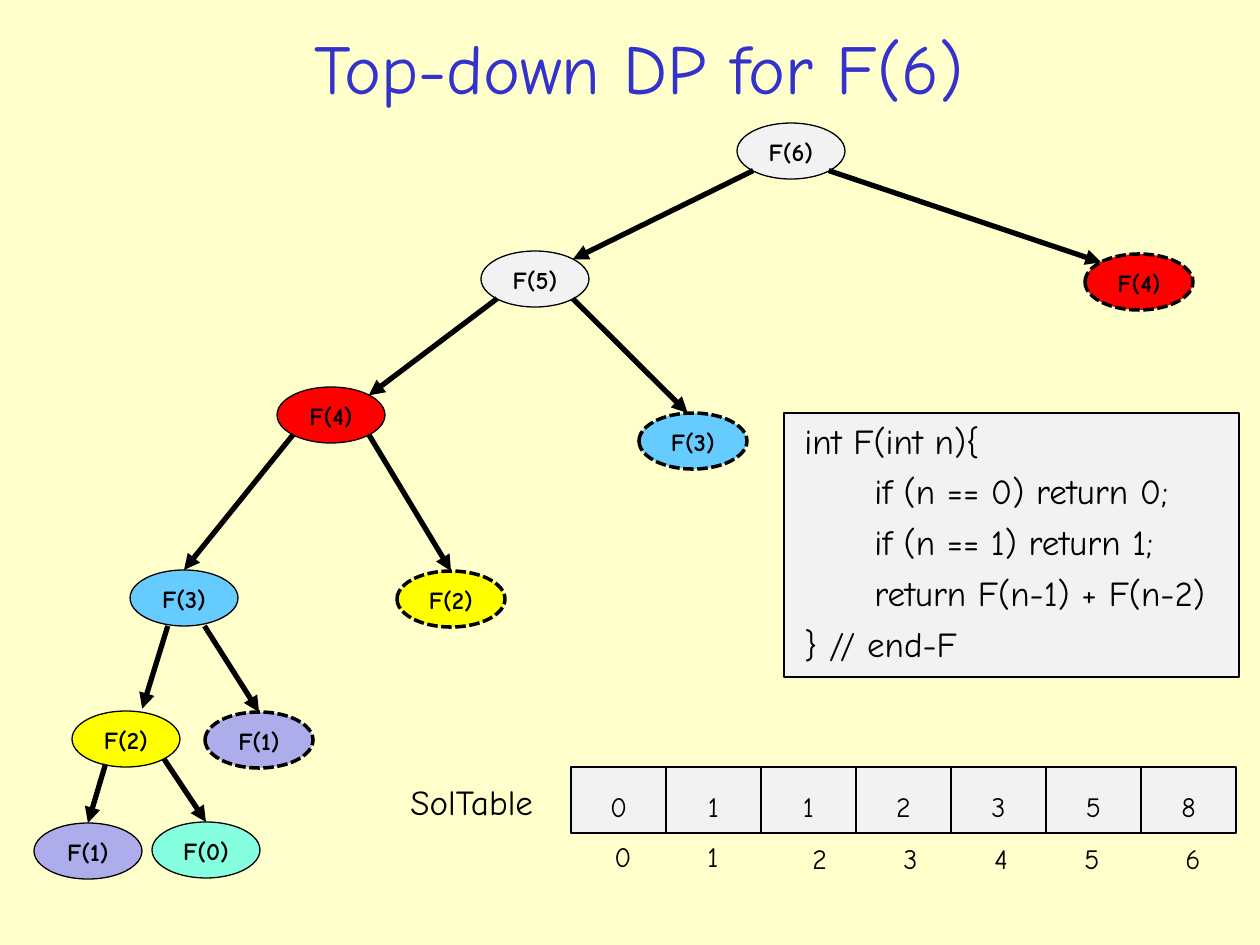
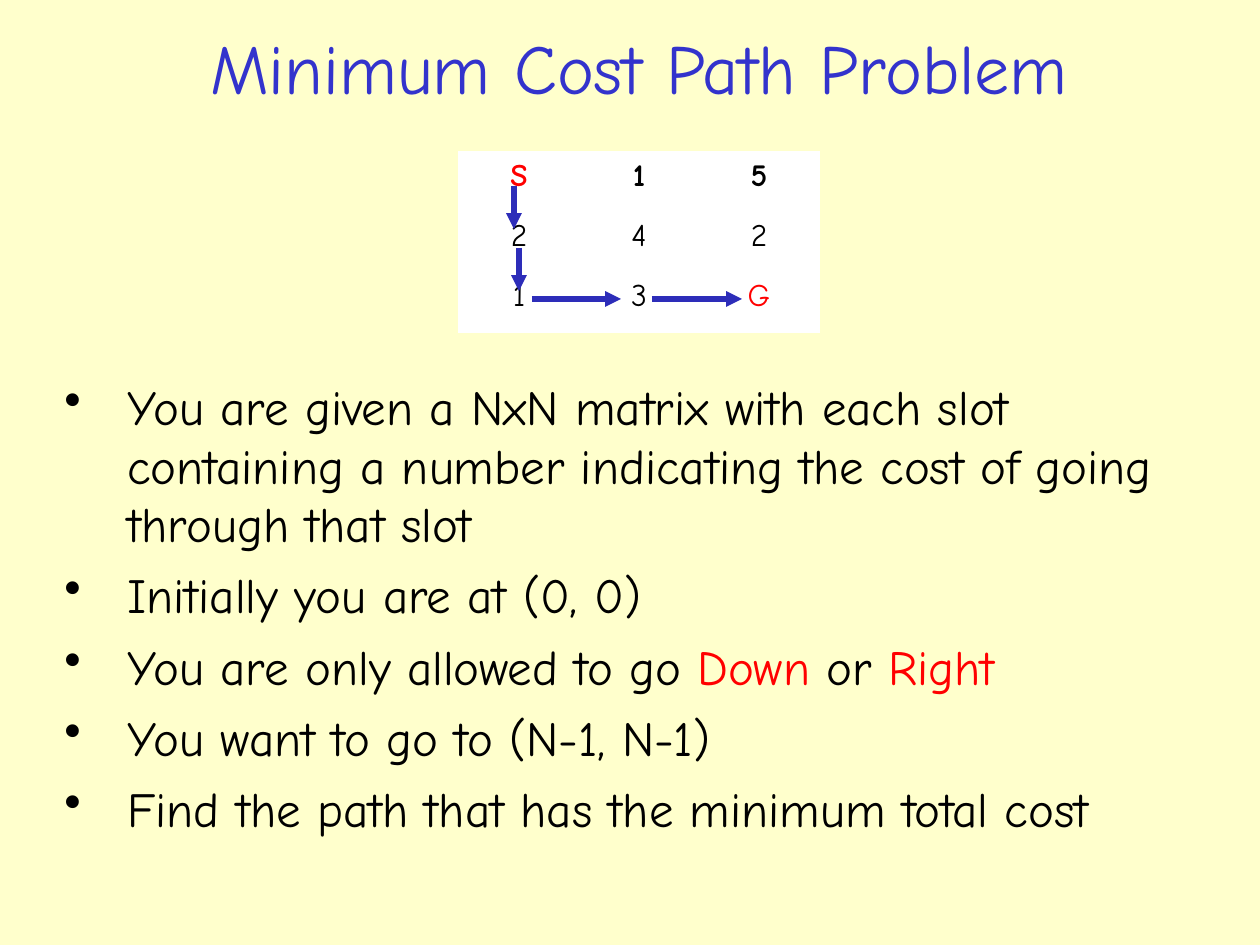
import pptx
import pptx.util
import pptx.dml.color
import pptx.enum.dml
import pptx.enum.shapes
import pptx.enum.text
import pptx.oxml
import pptx.oxml.ns
from lxml import etree

SCALE = 914400 / 126  # EMU in one pixel
FONT = "Comic Neue"
INK = {
    "page": "FFFFCC", "title": "3333CC", "text": "000000", "white": "FFFFFF",
    "gray": "F2F2F2", "red": "FF0000", "blue": "66CCFF", "gold": "FFFF00",
    "mauve": "ADADEB", "mint": "85FFE0", "path": "2D2DB9",
}
ALIGN = pptx.enum.text.PP_ALIGN
SHAPE = pptx.enum.shapes.MSO_SHAPE
ANCHOR = pptx.enum.text.MSO_ANCHOR
FIT = pptx.enum.text.MSO_AUTO_SIZE


def px(*vals):
    """Turn pixels into a list of EMU lengths."""
    return [pptx.util.Emu(round(v * SCALE)) for v in vals]


def hue(name):
    """Give the colour object of a named ink."""
    return pptx.dml.color.RGBColor.from_string(INK[name])


def tag(parent, name, **attrs):
    """Append a drawing element and return it."""
    node = etree.SubElement(parent, pptx.oxml.ns.qn("a:" + name))
    for key, val in attrs.items():
        node.set(key, val)
    return node


def write(frame, paras, size=16, ink="text", bold=False, align=ALIGN.LEFT,
          space=None, before=None, left=(0,), hang=0, bullet=False):
    """Fill a frame; a paragraph is a string or a list of (text, ink) runs.

    The left margins apply by paragraph, and the last one repeats.
    """
    for i, runs in enumerate(paras):
        para = frame.paragraphs[0] if i == 0 else frame.add_paragraph()
        para.alignment = align
        if space:
            para.line_spacing = space
        if before:
            para.space_before = pptx.util.Pt(before)
        props = para._p.get_or_add_pPr()
        margin, first = px(left[min(i, len(left) - 1)], hang)
        props.set("marL", str(margin))
        props.set("indent", str(first))
        if bullet:
            tag(tag(props, "buClr"), "srgbClr", val=INK[ink])
            tag(props, "buChar", char="•")
        for text, tone in [(runs, ink)] if isinstance(runs, str) else runs:
            run = para.add_run()
            run.text = text
            run.font.name = FONT
            run.font.size = pptx.util.Pt(size)
            run.font.bold = bold
            run.font.color.rgb = hue(tone)


def shape(slide, kind, box, fill, width=0.75, dash=False):
    """Draw an outlined preset shape with its text at the top."""
    item = slide.shapes.add_shape(kind, *px(*box))
    item.shadow.inherit = False
    item.fill.solid()
    item.fill.fore_color.rgb = hue(fill)
    item.line.color.rgb = hue("text")
    item.line.width = pptx.util.Pt(width)
    if dash:
        item.line.dash_style = pptx.enum.dml.MSO_LINE.SQUARE_DOT
    item.text_frame.vertical_anchor = ANCHOR.TOP
    return item


def label(slide, box, text, size):
    """Place a one-line text box that fits its text."""
    frame = slide.shapes.add_textbox(*px(*box)).text_frame
    frame.word_wrap = False
    frame.auto_size = FIT.SHAPE_TO_FIT_TEXT
    write(frame, [text], size=size)


def arrow(slide, start, end, ink="text"):
    """Draw a thick arrow between two points."""
    item = slide.shapes.add_connector(
        pptx.enum.shapes.MSO_CONNECTOR.STRAIGHT, *px(*start, *end))
    item.line.color.rgb = hue(ink)
    item.line.width = pptx.util.Pt(3)
    tag(item.line._get_or_add_ln(), "tailEnd", type="triangle")
    tag(item._element.spPr, "effectLst")


def page(prs, title):
    """Add a slide with the shared title style."""
    slide = prs.slides.add_slide(prs.slide_layouts[5])
    head = slide.shapes.title
    head.left, head.top, head.width, head.height = px(38, 19, 1202, 96)
    head.text_frame.auto_size = FIT.NONE
    head.text_frame.vertical_anchor = ANCHOR.MIDDLE
    write(head.text_frame, [title], size=40, ink="title", align=ALIGN.CENTER)
    return slide


# Call tree: key -> x, y, text, fill, solved (a dashed node is looked up)
NODES = {
    "6": (703, 0, "F(6)", "gray", False),
    "5": (447, 128, "F(5)", "gray", False),
    "4": (243, 264, "F(4)", "red", False),
    "3": (96, 447, "F(3)", "blue", False),
    "2": (38, 588, "F(2)", "gold", False),
    "1": (0, 700, "F(1)", "mauve", False),
    "0": (118, 699, "F(0)", "mint", False),
    "4s": (1051, 131, "F(4)", "red", True),
    "3s": (605, 290, "F(3)", "blue", True),
    "2s": (363, 448, "F(2)", "gold", True),
    "1s": (171, 589, "F(1)", "mauve", True),
}
# Points on a node, as shares of its width and height
TOP, NW, NE, SW, SE = (0.5, 0), (0.15, 0.15), (0.85, 0.15), (0.15, 0.85), (0.85, 0.85)
EDGES = [
    ("6", SW, "5", NE), ("6", SE, "4s", NW),
    ("5", SW, "4", NE), ("5", SE, "3s", (0.45, 0)),
    ("4", SW, "3", TOP), ("4", SE, "2s", TOP),
    ("3", (0.35, 1), "2", (0.65, -0.04)), ("3", (0.69, 1), "1s", TOP),
    ("2", (0.31, 0.95), "1", TOP), ("2", SE, "0", TOP),
]


def tree(slide, left, top, wide=108, high=56):
    """Draw the call tree from its top left corner."""
    def spot(key, port):
        x, y = NODES[key][:2]
        return left + x + port[0] * wide, top + y + port[1] * high

    for x, y, text, fill, solved in NODES.values():
        node = shape(slide, SHAPE.OVAL, (left + x, top + y, wide, high), fill,
                     width=2 if solved else 0.75, dash=solved)
        write(node.text_frame, [text], size=14, bold=True, align=ALIGN.CENTER)
    for head, out, child, into in EDGES:
        arrow(slide, spot(head, out), spot(child, into))


def code(slide, box):
    """Show the recursive function in a panel."""
    lines = ["int F(int n){", "if (n == 0) return 0;", "if (n == 1) return 1;",
             "return F(n-1) + F(n-2)", "} // end-F"]
    panel = shape(slide, SHAPE.RECTANGLE, box, "gray")
    write(panel.text_frame, lines, size=20, before=5, left=(8, 78, 78, 78, 8))


def store(slide, left, top):
    """Draw the solution table with its name and indices."""
    label(slide, (left, top + 7, 151, 55), "SolTable", 20)
    spots = [(204, 66), (297, 66), (402, 68), (493, 68), (584, 68), (674, 68), (775, 68)]
    for i, (value, (x, y)) in enumerate(zip("0112358", spots)):
        cell = shape(slide, SHAPE.RECTANGLE, (left + 173 + 95 * i, top, 95, 66), "gray")
        write(cell.text_frame, [value], space=1.5, align=ALIGN.CENTER)
        label(slide, (left + x, top + y, 40, 47), str(i), 16)


def matrix(slide, left, top, wide=120, high=60):
    """Draw the cost matrix and the cheapest way through it."""
    rows = ["S15", "242", "13G"]
    grid = slide.shapes.add_table(3, 3, *px(left, top, 3 * wide, 3 * high)).table
    grid.first_row = grid.horz_banding = False
    for r, row in enumerate(rows):
        grid.rows[r].height = px(high)[0]
        for c, text in enumerate(row):
            cell = grid.cell(r, c)
            cell.fill.solid()
            cell.fill.fore_color.rgb = hue("white")
            write(cell.text_frame, [text], size=18, bold=r == 0, align=ALIGN.CENTER,
                  ink="red" if text in "SG" else "text")
    steps = [((55, 34), (55, 77)), ((60, 96), (60, 139)),
             ((73, 147), (162, 147)), ((193, 147), (283, 147))]
    for ends in steps:
        arrow(slide, *[(left + x, top + y) for x, y in ends], ink="path")


def points(slide, box):
    """Write the bulleted problem statement."""
    frame = slide.shapes.add_textbox(*px(*box)).text_frame
    frame.word_wrap = True
    write(frame, [
        "You are given a NxN matrix with each slot containing a number "
        "indicating the cost of going through that slot",
        "Initially you are at (0, 0)",
        [("You are only allowed to go ", "text"), ("Down ", "red"),
         ("or ", "text"), ("Right", "red")],
        "You want to go to (N-1, N-1)",
        "Find the path that has the minimum total cost",
    ], size=28, before=7, left=(71,), hang=-63, bullet=True)


def main():
    """Build and save both slides."""
    prs = pptx.Presentation()
    prs.slide_width, prs.slide_height = px(1260, 945)
    back = prs.slide_master.background.fill
    back.solid()
    back.fore_color.rgb = hue("page")

    slide = page(prs, "Top-down DP for F(6)")
    tree(slide, 34, 123)
    store(slide, 398, 767)
    code(slide, (784, 413, 455, 264))

    slide = page(prs, "Minimum Cost Path Problem")
    matrix(slide, 459, 152)
    points(slide, (44, 370, 1167, 515))

    prs.save("out.pptx")


main()
